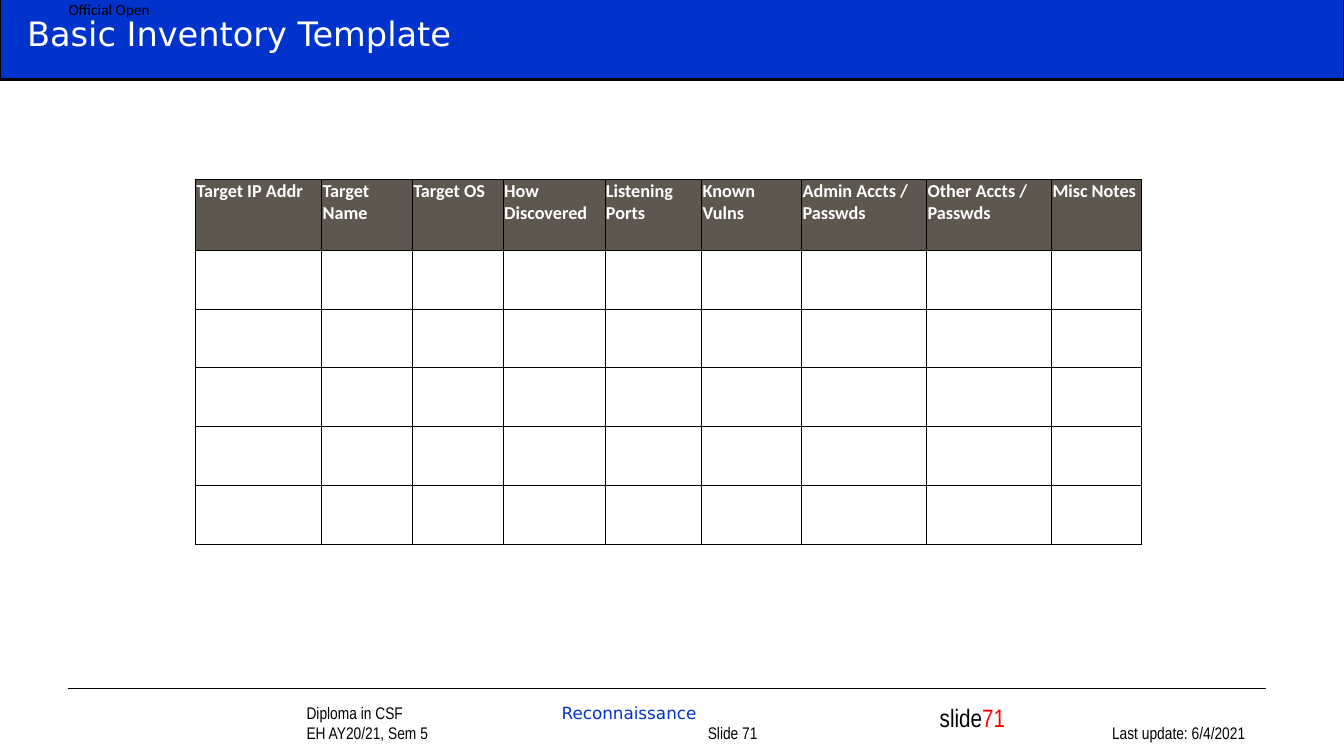
from lxml.etree import SubElement
from pptx import Presentation
from pptx.dml.color import RGBColor
from pptx.enum.shapes import MSO_CONNECTOR, MSO_SHAPE
from pptx.enum.text import MSO_ANCHOR, PP_ALIGN
from pptx.oxml import parse_xml
from pptx.oxml.ns import nsdecls, qn
from pptx.util import Inches, Pt


def color(value):
    return RGBColor.from_string(value)


def add_text(left, top, width, height, lines, size, font, ink="000000",
             insets=(0.1, 0.05, 0.1, 0.05), wrap=True):
    box = slide.shapes.add_textbox(Inches(left), Inches(top), Inches(width), Inches(height))
    frame = box.text_frame
    frame.word_wrap = wrap
    frame.margin_left, frame.margin_top, frame.margin_right, frame.margin_bottom = map(Inches, insets)
    for index, runs in enumerate(lines):
        para = frame.add_paragraph() if index else frame.paragraphs[0]
        for text in runs:
            span = para.add_run()
            span.text = text
            span.font.size = Pt(size)
            span.font.name = font
            span.font.color.rgb = color(ink)
    return frame


deck = Presentation()
deck.slide_width = Inches(13.33)
deck.slide_height = Inches(7.5)
slide = deck.slides.add_slide(deck.slide_layouts[6])

# Footer: course, topic and slide number
footer = add_text(2.44, 7, 7.22, 0.42,
                  [["Diploma in CSF\t", "Reconnaissance"], ["EH AY20/21, Sem 5\t", "Slide 71"]],
                  12, "Arial Narrow", insets=(0.6, 0.05, 0.1, 0.05))
footer.vertical_anchor = MSO_ANCHOR.BOTTOM
for para, stop in zip(footer.paragraphs, (2.53, 3.98)):
    tabs = SubElement(para._p.get_or_add_pPr(), qn("a:tabLst"))
    SubElement(tabs, qn("a:tab"), pos=str(Inches(stop)), algn="l")
topic = footer.paragraphs[0].runs[1]
topic.font.name = "DejaVu Sans"
topic.font.color.rgb = color("0033CC")

# Footer rule
rule = slide.shapes.add_connector(MSO_CONNECTOR.STRAIGHT, Inches(0.67), Inches(6.83),
                                  Inches(12.56), Inches(6.83))
rule.line.color.rgb = color("000000")
rule.line.width = Pt(1)
SubElement(rule._element.spPr, qn("a:effectLst"))

# Title bar
bar = slide.shapes.add_shape(MSO_SHAPE.RECTANGLE, 0, Inches(-0.04), Inches(13.33), Inches(0.83))
bar.shadow.inherit = False
bar.fill.solid()
bar.fill.fore_color.rgb = color("0033CC")
bar.line.color.rgb = color("000000")
bar.line.width = Pt(1.5)

# Update date and classification
update = add_text(9.67, 7, 2.78, 0.42, [["Last update: 6/4/2021"]], 12, "Arial Narrow")
update.vertical_anchor = MSO_ANCHOR.BOTTOM
update.paragraphs[0].alignment = PP_ALIGN.RIGHT
add_text(0, 0, 1.54, 0.18, [["Official Open"]], 11, "Calibri", insets=(0.68, 0, 0, 0))

# Inventory table
headers = ["Target IP Addr", "Target Name", "Target OS", "How Discovered", "Listening Ports",
           "Known Vulns", "Admin Accts / Passwds", "Other Accts / Passwds", "Misc Notes"]
widths = [1.25, 0.9, 0.9, 1.01, 0.96, 0.99, 1.24, 1.24, 0.89]
heights = [0.7] + [2.92 / 5] * 5
table = slide.shapes.add_table(len(heights), len(headers), Inches(1.94), Inches(1.78),
                               Inches(9.38), Inches(3.62)).table
for column, width in zip(table.columns, widths):
    column.width = Inches(width)
for row, height in zip(table.rows, heights):
    row.height = Inches(height)
    for cell in row.cells:
        cell.fill.background()
        for index, side in enumerate(("lnL", "lnR", "lnT", "lnB")):
            cell._tc.get_or_add_tcPr().insert(index, parse_xml(
                f'<a:{side} {nsdecls("a")} w="{Pt(0.5)}"><a:solidFill>'
                f'<a:srgbClr val="000000"/></a:solidFill></a:{side}>'))
for cell, header in zip(table.rows[0].cells, headers):
    cell.fill.solid()
    cell.fill.fore_color.rgb = color("5E574E")
    cell.margin_left = cell.margin_right = cell.margin_top = Inches(0.01)
    cell.margin_bottom = 0
    cell.text_frame.text = header
    font = cell.text_frame.paragraphs[0].runs[0].font
    font.size = Pt(13)
    font.name = "Calibri"
    font.bold = True
    font.color.rgb = color("FFFFFF")

# Slide number and title
number = add_text(9, 6.92, 2.08, 0.42, [["slide", "71"]], 18, "Arial Narrow",
                  insets=(0.32, 0.05, 0.1, 0.05))
number.paragraphs[0].runs[1].font.color.rgb = color("FF0000")
add_text(0.17, 0.08, 4.62, 0.5, [["Basic Inventory Template"]], 24, "DejaVu Sans", "FFFFFF",
         wrap=False)

deck.save("out.pptx")
